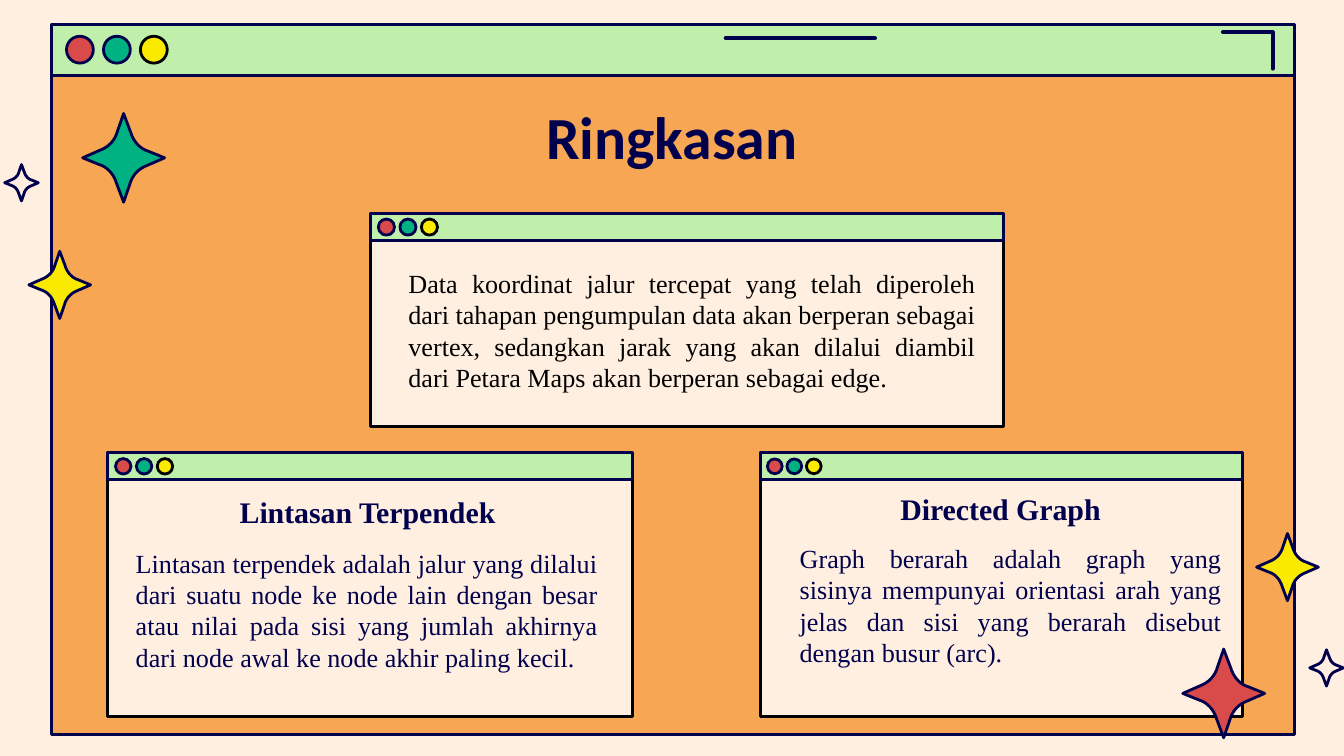
"""Build the summary slide: a browser-style frame, three text windows and stars."""
import pptx
import pptx.dml.color
import pptx.enum.shapes
import pptx.enum.text
import pptx.oxml
import pptx.oxml.ns
import pptx.util

COLUMNS, ROWS = 1000, 562.5
CELL = pptx.util.Inches(10) // COLUMNS
NAVY, BLACK, CREAM, ORANGE, MINT = "00004D", "000000", "FFEFE1", "F7A653", "C0EEAB"
RED, GREEN, YELLOW = "D94A4A", "00B181", "FAEA00"
SERIF = "Times New Roman"
ALIGN = pptx.enum.text.PP_ALIGN
KIND = pptx.enum.shapes.MSO_SHAPE

WINDOWS = [
    dict(area=(38.5, 18, 924.5, 528.5), fill=ORANGE, line=NAVY, bar=38, dot=20, margin=11, pitch=27.5),
    dict(area=(566, 337, 358.5, 196), fill=CREAM, line=BLACK, bar=20, dot=11, margin=5, pitch=14.5),
    dict(area=(80, 337, 390.5, 196), fill=CREAM, line=BLACK, bar=20, dot=11.5, margin=6, pitch=15.5),
    dict(area=(275.5, 159, 471.5, 158.5), fill=CREAM, line=BLACK, bar=20, dot=12, margin=6, pitch=16),
]
DOTS = [(RED, NAVY), (GREEN, NAVY), (YELLOW, BLACK)]
MARKS = [[(540, 28.5), (651, 28.5)], [(910, 24), (947, 24), (947, 51)]]

HEADING = dict(size=16, name=SERIF, color=NAVY, bold=True, align=ALIGN.CENTER)
BODY = dict(size=14, name=SERIF, color=NAVY, bold=False, align=ALIGN.JUSTIFY)
TEXTS = {
    0: ("Ringkasan", (78, 64, 844, 63), 0, HEADING | dict(size=32, name="Calibri")),
    1: ("Lintasan Terpendek", (165, 357, 217, 53), 0, HEADING),
    2: ("Lintasan terpendek adalah jalur yang dilalui dari suatu node ke node lain dengan "
        "besar atau nilai pada sisi yang jumlah akhirnya dari node awal ke node akhir "
        "paling kecil.", (91, 397, 364, 126), 0, BODY),
    3: ("Directed Graph", (636, 355, 217, 53), 0, HEADING),
    4: ("Graph berarah adalah graph yang sisinya mempunyai orientasi arah yang jelas dan "
        "sisi yang berarah disebut dengan busur (arc).", (571, 393.5, 348, 99), 14, BODY),
}
NOTE = ("Data koordinat jalur tercepat yang telah diperoleh dari tahapan pengumpulan data "
        "akan berperan sebagai vertex, sedangkan jarak yang akan dilalui diambil dari "
        "Petara Maps akan berperan sebagai edge.", (294, 194, 442, 104), 0, BODY | dict(color=BLACK))

STARS = [
    ((3.5, 122.5, 25, 27), None),
    ((21.5, 187, 46, 50), YELLOW),
    ((61.5, 84.5, 61, 66), GREEN),
    ((974.5, 483.5, 25, 27), None),
    ((935, 397, 46, 50), YELLOW),
    ((880, 483, 61, 66), RED),
]
CURVE = [(0.17, -0.58), (0.24, -0.36), (0.41, -0.2), (0.6, -0.15)]
STEPS = 8


def rgb(value):
    """Turn a hex string into a colour."""
    return pptx.dml.color.RGBColor.from_string(value)


def grid(*cells):
    """Turn grid cells into slide lengths."""
    return [round(cell * CELL) for cell in cells]


def paint(shape, fill, line, width=1.5):
    """Give a shape its fill and outline, without shadow."""
    shape.shadow.inherit = False
    if fill:
        shape.fill.solid()
        shape.fill.fore_color.rgb = rgb(fill)
    else:
        shape.fill.background()
    shape.line.color.rgb = rgb(line)
    shape.line.width = pptx.util.Pt(width)


def add_outline(page, points, closed):
    """Draw a freeform through grid points."""
    start, *rest = [grid(*point) for point in points]
    builder = page.shapes.build_freeform(*start)
    builder.add_line_segments(rest, close=closed)
    return builder.convert_to_shape()


def add_window(page, area, fill, line, bar, dot, margin, pitch):
    """Draw a window with its title bar and three buttons."""
    left, top, width, height = area
    paint(page.shapes.add_shape(KIND.RECTANGLE, *grid(*area)), fill, line)
    paint(page.shapes.add_shape(KIND.RECTANGLE, *grid(left, top, width, bar)), MINT, NAVY)
    for index, colors in enumerate(DOTS):
        place = grid(left + margin + index * pitch, top + (bar - dot) / 2, dot, dot)
        paint(page.shapes.add_shape(KIND.OVAL, *place), *colors)


def star_points(left, top, width, height):
    """Trace four curved arms by turning one quarter around the centre."""
    quarter = [(0, -1)]
    for step in range(STEPS + 1):
        t = step / STEPS
        weights = [(1 - t) ** 3, 3 * t * (1 - t) ** 2, 3 * t * t * (1 - t), t ** 3]
        quarter.append(tuple(sum(w * p[axis] for w, p in zip(weights, CURVE)) for axis in (0, 1)))
    points = []
    for _ in range(4):
        points += quarter
        quarter = [(-y, x) for x, y in quarter]
    return [(left + width * (1 + x) / 2, top + height * (1 + y) / 2) for x, y in points]


def write(box, text, area, indent, style, inset):
    """Place a text box and format its single paragraph."""
    box.left, box.top, box.width, box.height = grid(*area)
    frame = box.text_frame
    frame.text = text
    sides = {f"margin_{side}": pptx.util.Inches(inset[side]) for side in inset}
    layout = dict(word_wrap=True, auto_size=pptx.enum.text.MSO_AUTO_SIZE.NONE,
                  vertical_anchor=pptx.enum.text.MSO_ANCHOR.TOP)
    for name, value in (sides | layout).items():
        setattr(frame, name, value)
    para = frame.paragraphs[0]
    para.alignment = style["align"]
    para.space_before = pptx.util.Pt(0)
    props = para._p.get_or_add_pPr()
    props.set("marL", str(indent * CELL))
    props.set("indent", "0")
    props.append(pptx.oxml.parse_xml(f'<a:buNone {pptx.oxml.ns.nsdecls("a")}/>'))
    font = para.runs[0].font
    for name, value in dict(size=pptx.util.Pt(style["size"]), name=style["name"],
                            bold=style["bold"]).items():
        setattr(font, name, value)
    font.color.rgb = rgb(style["color"])


def main():
    """Build and save the deck."""
    deck = pptx.Presentation()
    deck.slide_width, deck.slide_height = grid(COLUMNS, ROWS)
    page = deck.slides.add_slide(deck.slide_layouts.get_by_name("Comparison"))
    page.background.fill.solid()
    page.background.fill.fore_color.rgb = rgb(CREAM)

    for window in WINDOWS:
        add_window(page, **window)
    for points in MARKS:
        mark = add_outline(page, points, closed=False)
        paint(mark, None, NAVY, 2.25)
        mark.line._get_or_add_ln().set("cap", "rnd")

    even = dict.fromkeys(("left", "top", "right", "bottom"), 0.1)
    boxes = {box.placeholder_format.idx: box for box in page.placeholders}
    for index, content in TEXTS.items():
        write(boxes[index], *content, even)
        page.shapes._spTree.append(boxes[index]._element)

    for area, fill in STARS:
        paint(add_outline(page, star_points(*area), closed=True), fill, NAVY)
    write(page.shapes.add_textbox(0, 0, 0, 0), *NOTE, even | dict(top=0.05, bottom=0.05))
    deck.save("out.pptx")


if __name__ == "__main__":
    main()
